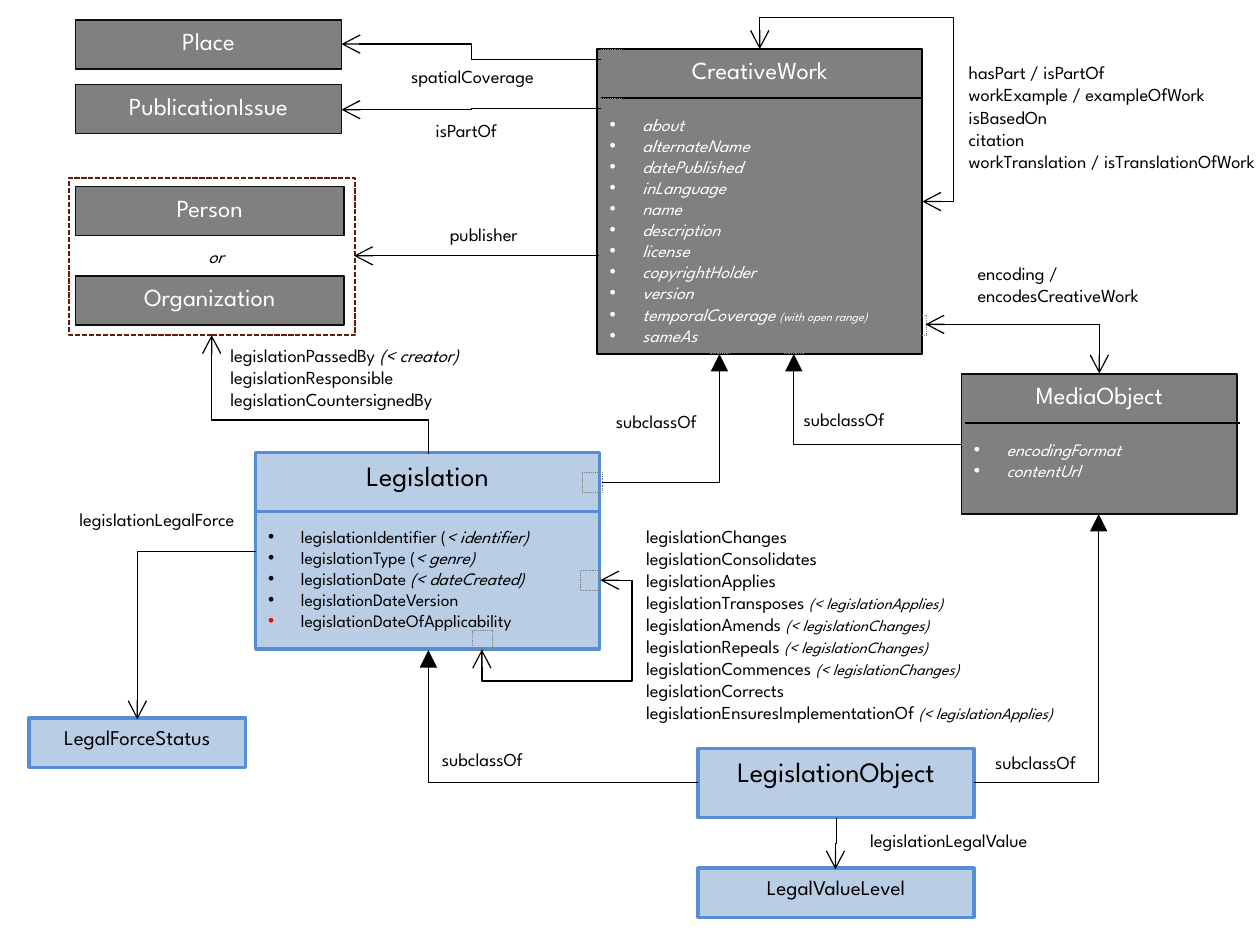
from lxml.etree import SubElement
from pptx import Presentation
from pptx.dml.color import RGBColor
from pptx.enum.dml import MSO_LINE
from pptx.enum.shapes import MSO_CONNECTOR, MSO_SHAPE
from pptx.enum.text import MSO_ANCHOR, PP_ALIGN
from pptx.oxml.ns import qn
from pptx.util import Cm, Pt

FONT = "League Spartan"
BLACK = RGBColor(0x00, 0x00, 0x00)
WHITE = RGBColor(0xFF, 0xFF, 0xFF)
GRAY = RGBColor(0x80, 0x80, 0x80)
COAL = RGBColor(0x0D, 0x0D, 0x0D)
PALE = RGBColor(0xB9, 0xCD, 0xE5)
BLUE = RGBColor(0x55, 0x8E, 0xD5)
BROWN = RGBColor(0x65, 0x1D, 0x07)
LEFT, MID, RIGHT = PP_ALIGN.LEFT, PP_ALIGN.CENTER, PP_ALIGN.RIGHT

CORE = (GRAY, COAL, 1, WHITE)
LEGAL = (PALE, BLUE, 2, BLACK)

WORK = ["about", "alternateName", "datePublished", "inLanguage", "name",
        "description", "license", "copyrightHolder", "version",
        [("temporalCoverage ", 10, True), ("(with open range)", 7, True)], "sameAs"]
LAW = [
    [("legislationIdentifier (", 10, False), ("< identifier)", 10, True)],
    [("legislationType (", 10, False), ("< genre)", 10, True)],
    [("legislationDate ", 10, False), ("(< dateCreated)", 10, True)],
    "legislationDateVersion", "legislationDateOfApplicability",
]
LINKS = [("Changes", ""), ("Consolidates", ""), ("Applies", ""),
         ("Transposes", "Applies"), ("Amends", "Changes"),
         ("Repeals", "Changes"), ("Commences", "Changes"),
         ("Corrects", ""), ("EnsuresImplementationOf", "Applies")]


def inch(value):
    return Cm(value * 2.54)


def write(para, runs, size, color, slant=False):
    if isinstance(runs, str):
        runs = [(runs, size, slant)]
    for text, points, lean in runs:
        run = para.add_run()
        run.text = text
        run.font.name = FONT
        run.font.size = Pt(points)
        run.font.italic = lean
        run.font.color.rgb = color


def bullet(para, tint=None):
    props = para._p.get_or_add_pPr()
    props.set("marL", str(inch(0.26)))
    props.set("indent", str(-inch(0.26)))
    if tint:
        SubElement(SubElement(props, qn("a:buClr")), qn("a:srgbClr"), val=tint)
    SubElement(props, qn("a:buFont"), typeface="Arial")
    SubElement(props, qn("a:buChar"), char="•")


def frame(slide, place, color, width, dash=None):
    shape = slide.shapes.add_shape(MSO_SHAPE.RECTANGLE, *map(inch, place))
    shape.shadow.inherit = False
    shape.fill.background()
    shape.line.color.rgb = color
    shape.line.width = Pt(width)
    if dash:
        shape.line.dash_style = dash
    return shape


def node(slide, place, title, size, style, items=(), slant=False, last=None):
    fill, edge, width, ink = style
    shape = frame(slide, place, edge, width)
    shape.fill.solid()
    shape.fill.fore_color.rgb = fill
    body = shape.text_frame
    body.word_wrap = True
    body.vertical_anchor = MSO_ANCHOR.TOP
    head = body.paragraphs[0]
    head.alignment = MID
    write(head, title, size, ink)
    if items:
        head.space_after = Pt(size * 1.2)
    for item in items:
        para = body.add_paragraph()
        para.alignment = LEFT
        bullet(para, last if item is items[-1] else None)
        write(para, item, 10, ink, slant)


def label(slide, place, lines, align=LEFT, slant=False):
    body = slide.shapes.add_textbox(*map(inch, place)).text_frame
    body.word_wrap = True
    for index, line in enumerate(lines):
        para = body.add_paragraph() if index else body.paragraphs[0]
        para.alignment = align
        write(para, line, 10.5, BLACK, slant)


def stroke(slide, kind, place, flip="", color=BLACK, width=0.75):
    x, y, w, h = place
    xs = (x + w, x) if "h" in flip else (x, x + w)
    ys = (y + h, y) if "v" in flip else (y, y + h)
    line = slide.shapes.add_connector(
        kind, inch(xs[0]), inch(ys[0]), inch(xs[1]), inch(ys[1]))
    line.line.color.rgb = color
    line.line.width = Pt(width)
    SubElement(line._element.spPr, qn("a:effectLst"))
    return line


def bend(slide, place, turn, flip, tip, bends=2, adjust=(), both=False):
    line = stroke(slide, MSO_CONNECTOR.ELBOW, place, flip)
    props = line._element.spPr
    props.find(qn("a:xfrm")).set("rot", str(turn * 60000))
    shape = props.find(qn("a:prstGeom"))
    shape.set("prst", f"bentConnector{bends}")
    guides = shape.find(qn("a:avLst"))
    for index, value in enumerate(adjust, 1):
        SubElement(guides, qn("a:gd"), name=f"adj{index}",
                   fmla=f"val {round(value * 100000)}")
    edge = line.line._get_or_add_ln()
    for end in ("headEnd", "tailEnd") if both else ("tailEnd",):
        SubElement(edge, qn(f"a:{end}"), type=tip, w="lg", len="lg")


def nodes(slide):
    node(slide, (5.54, 5.94, 2.19, 0.55), "LegislationObject", 16, LEGAL)
    node(slide, (7.63, 2.97, 2.19, 1.11), "MediaObject", 14, CORE,
         ["encodingFormat", "contentUrl"], True)
    node(slide, (4.74, 0.39, 2.58, 2.42), "CreativeWork", 14,
         (GRAY, BLACK, 1, WHITE), WORK, True)
    node(slide, (2.03, 3.59, 2.73, 1.56), "Legislation", 16, LEGAL, LAW,
         last="FF0000")
    for title, y, width in (("Place", 0.16, 2.11), ("PublicationIssue", 0.67, 2.11),
                            ("Person", 1.48, 2.13), ("Organization", 2.19, 2.13)):
        node(slide, (0.6, y, width, 0.39), title, 14, CORE)
    node(slide, (5.54, 6.89, 2.19, 0.39), "LegalValueLevel", 12, LEGAL)
    node(slide, (0.23, 5.7, 1.72, 0.39), "LegalForceStatus", 12, LEGAL)
    frame(slide, (0.55, 1.41, 2.27, 1.25), BROWN, 1, MSO_LINE.SQUARE_DOT)
    for x, y, width, color, weight in ((7.66, 3.36, 2.18, BLACK, 1),
                                       (4.77, 0.78, 2.54, BLACK, 1),
                                       (2.03, 4.06, 2.74, BLUE, 2)):
        stroke(slide, MSO_CONNECTOR.STRAIGHT, (x, y, width, 0), "", color, weight)
    for x, y in ((4.61, 4.53), (3.75, 5), (4.62, 3.75), (4.77, 0.39), (7.19, 2.5),
                 (4.75, 1.96), (4.77, 0.78), (5.63, 2.65), (6.22, 2.65)):
        frame(slide, (x, y, 0.16, 0.16), GRAY, 0.5, MSO_LINE.ROUND_DOT)


def arrows(slide):
    for place, turn, flip in (((7.73, 4.08, 0.99, 2.13), 0, "v"),
                              ((6.3, 2.81, 1.33, 0.72), 180, ""),
                              ((4.78, 2.81, 0.93, 1.02), 0, "v"),
                              ((3.4, 5.16, 2.14, 1.05), 180, "")):
        bend(slide, place, turn, flip, "triangle")
    for place, turn, flip, middle in (((2.71, 0.35, 2.06, 0.12), 180, "", 0.5),
                                      ((2.07, 2.27, 0.94, 1.72), 270, "v", 0.283),
                                      ((6.43, 6.69, 0.41, 0.01), 90, "", 0.5),
                                      ((2.81, 2.03, 1.94, 0), 180, "", 0.5),
                                      ((2.71, 0.86, 2.06, 0.01), 180, "v", 0.5)):
        bend(slide, place, turn, flip, "arrow", 3, (middle,))
    bend(slide, (1.09, 4.38, 0.94, 1.33), 180, "v", "arrow")
    bend(slide, (7.84, 2.08, 0.39, 1.38), 270, "v", "arrow", both=True)
    bend(slide, (4.02, 4.41, 0.55, 0.94), 90, "hv", "arrow", 4, (-0.457, 1.267), True)
    bend(slide, (6.03, 0.39, 1.29, 1.21), 0, "hv", "arrow", 4, (-0.194, 1.206), True)


def labels(slide):
    for x, y in ((6.28, 3.19), (4.79, 3.21), (3.41, 5.89), (7.8, 5.91)):
        label(slide, (x, y, 1.06, 0.28), ["subclassOf"])
    for text, x, y in (("spatialCoverage", 2.89, 0.47), ("publisher", 2.98, 1.72),
                       ("legislationLegalValue", 6.67, 6.53)):
        label(slide, (x, y, 1.72, 0.28), [text], MID)
    label(slide, (0.16, 3.98, 1.8, 0.28), ["legislationLegalForce"], RIGHT)
    label(slide, (0.62, 1.9, 2.19, 0.29), ["or"], MID, True)
    label(slide, (3.36, 0.9, 0.86, 0.28), ["isPartOf"])
    label(slide, (7.66, 2.03, 1.88, 0.45), ["encoding / encodesCreativeWork"])
    label(slide, (1.73, 2.68, 3.05, 0.63), [
        [("legislationPassedBy ", 10.5, False), ("(< creator)", 10.5, True)],
        "legislationResponsible", "legislationCountersignedBy"])
    label(slide, (7.59, 0.44, 2.73, 1.16), [
        "hasPart / isPartOf", "workExample / exampleOfWork", "isBasedOn",
        "citation", "workTranslation / isTranslationOfWork"])
    label(slide, (5.03, 4.12, 4.82, 2.04), [
        [(f"legislation{name} ", 10.5, False), (f"(< legislation{base})", 9, True)]
        if base else f"legislation{name}" for name, base in LINKS])


def main():
    deck = Presentation()
    deck.slide_width, deck.slide_height = Cm(25.4), Cm(19.05)
    slide = deck.slides.add_slide(deck.slide_layouts[6])
    nodes(slide)
    arrows(slide)
    labels(slide)
    deck.save("out.pptx")


main()
